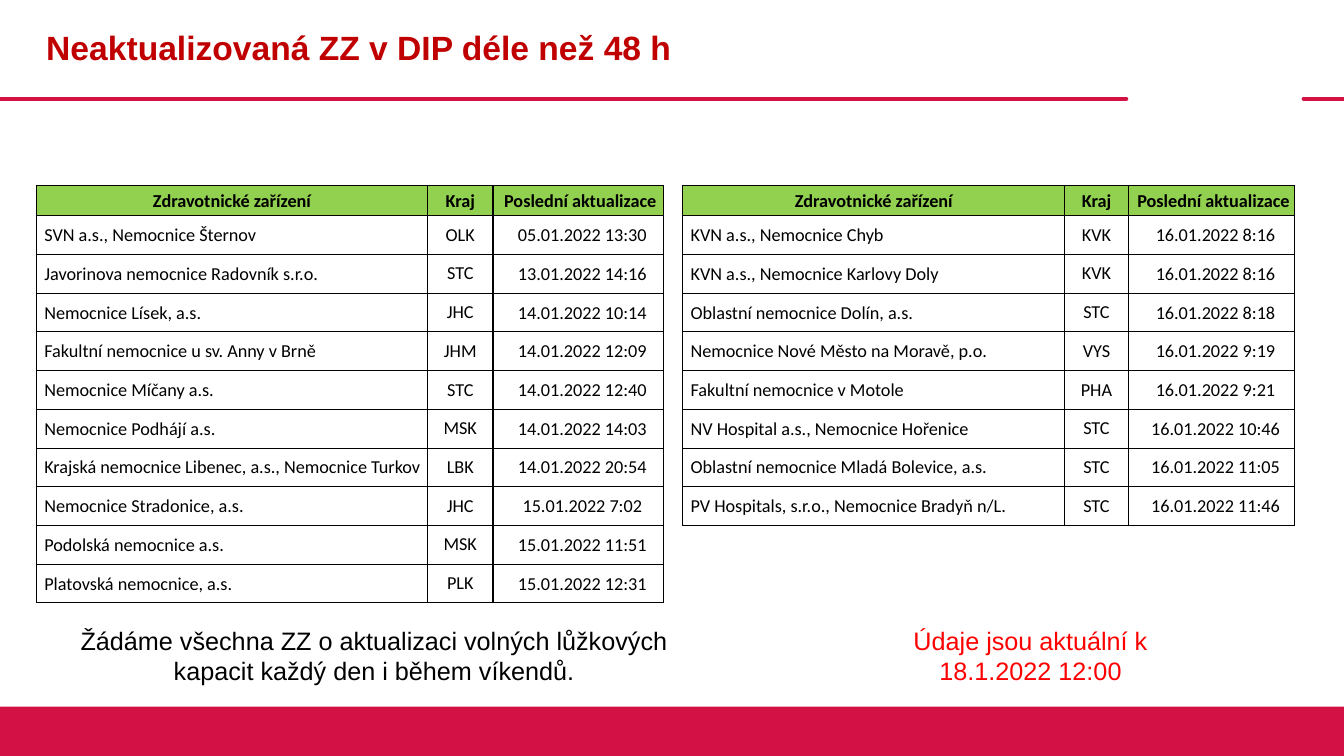
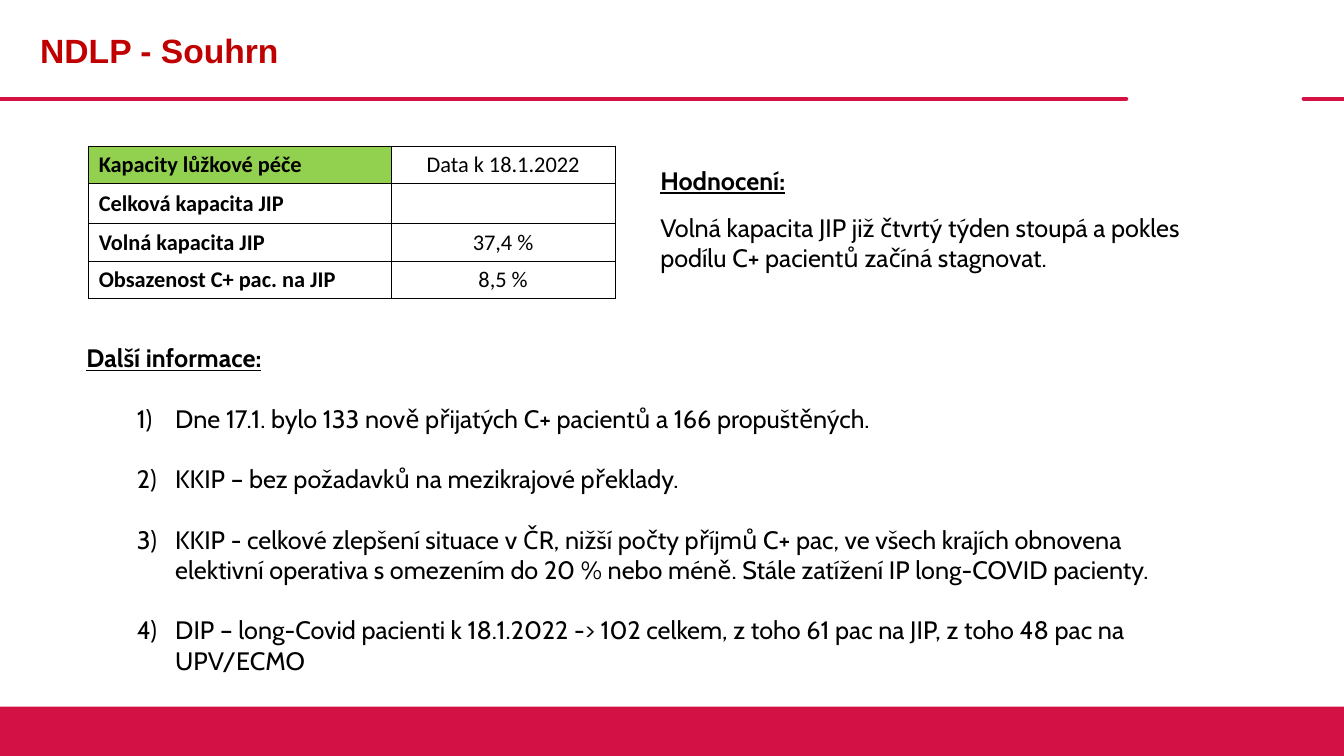
from lxml.etree import SubElement
from pptx import Presentation
from pptx.dml.color import RGBColor
from pptx.enum.shapes import MSO_CONNECTOR, MSO_SHAPE
from pptx.enum.text import MSO_ANCHOR, PP_ALIGN
from pptx.oxml.ns import qn
from pptx.util import Inches, Pt

CRIMSON = "D31145"
TITLE_RED = "C00000"
NOTE_RED = "FF0000"
GREEN = "92D050"
WHITE = "FFFFFF"
BLACK = "000000"
color = RGBColor.from_string


def write(frame, text, font="Arial", size=18, ink=BLACK, bold=False, underline=False,
          align=PP_ALIGN.LEFT, before=None, after=None, line=None, numbered=False):
    """Add one paragraph to a text frame, using its empty first one if there is one."""
    frame.word_wrap = True
    para = frame.paragraphs[0]
    if para.runs:
        para = frame.add_paragraph()
    if numbered:
        properties = para._p.get_or_add_pPr()
        properties.set("marL", str(Inches(0.88)))
        properties.set("indent", str(Inches(-0.38)))
        SubElement(properties, qn("a:buFont"), typeface="+mj-lt")
        SubElement(properties, qn("a:buAutoNum"), type="arabicParenR")
    para.alignment = align
    if before is not None:
        para.space_before = Pt(before)
    if after is not None:
        para.space_after = Pt(after)
    if line is not None:
        para.line_spacing = line
    span = para.add_run()
    span.text = text
    span.font.name = font
    span.font.size = Pt(size)
    span.font.bold = bold
    span.font.underline = underline
    span.font.color.rgb = color(ink)


def style_cell(cell, fill, borders, insets=(0.1, 0.05, 0.1, 0.05)):
    """Borders are point widths for left, right, top, bottom; insets are left, top, right, bottom."""
    properties = cell._tc.get_or_add_tcPr()
    for side, width in zip("LRTB", borders):
        edge = SubElement(properties, qn(f"a:ln{side}"), w=str(Pt(width)))
        paint = SubElement(edge, qn("a:solidFill"))
        SubElement(paint, qn("a:srgbClr"), val=BLACK)
    cell.fill.solid()
    cell.fill.fore_color.rgb = color(fill)
    cell.vertical_anchor = MSO_ANCHOR.MIDDLE
    cell.margin_left, cell.margin_top, cell.margin_right, cell.margin_bottom = map(Inches, insets)


deck = Presentation()
deck.slide_width = Inches(13.33)
deck.slide_height = Inches(7.5)

# Title, rule and bottom band of each page
titles = [
    ("Neaktualizovaná ZZ v DIP déle než 48 h", 0.36, 0),
    ("NDLP - Souhrn", 0.3, 0.03),
]
pages = []
for title, left, top in titles:
    page = deck.slides.add_slide(deck.slide_layouts[6])
    pages.append(page)
    for start, end in [(0, 11.17), (12.93, 13.33)]:
        rule = page.shapes.add_connector(
            MSO_CONNECTOR.STRAIGHT, Inches(start), Inches(0.98), Inches(end), Inches(0.98))
        rule.line.color.rgb = color(CRIMSON)
        rule.line.width = Pt(3)
        rule.line._ln.set("cap", "rnd")
        SubElement(rule._element.spPr, qn("a:effectLst"))
    band = page.shapes.add_shape(
        MSO_SHAPE.RECTANGLE, 0, Inches(7.01), Inches(13.33), Inches(0.49))
    band.shadow.inherit = False
    band.fill.solid()
    band.fill.fore_color.rgb = color(CRIMSON)
    band.line.fill.background()
    box = page.shapes.add_textbox(Inches(left), Inches(top), Inches(10.81), Inches(0.98))
    box.text_frame.vertical_anchor = MSO_ANCHOR.MIDDLE
    write(box.text_frame, title, size=24, ink=TITLE_RED, bold=True, line=0.9)

outdated_page, summary_page = pages

# Outdated facilities
notes = [
    ("Údaje jsou aktuální k 18.1.2022 12:00", 8.78, 2.88, NOTE_RED),
    ("Žádáme všechna ZZ o aktualizaci volných lůžkových kapacit každý den i během víkendů.",
     0.65, 6.12, BLACK),
]
for text, left, width, ink in notes:
    box = outdated_page.shapes.add_textbox(
        Inches(left), Inches(6.15), Inches(width), Inches(0.71))
    write(box.text_frame, text, ink=ink, align=PP_ALIGN.CENTER)

headings = ("Zdravotnické zařízení", "Kraj", "Poslední aktualizace")
older_updates = [
    ("SVN a.s., Nemocnice Šternov", "OLK", "05.01.2022 13:30"),
    ("Javorinova nemocnice Radovník s.r.o.", "STC", "13.01.2022 14:16"),
    ("Nemocnice Lísek, a.s.", "JHC", "14.01.2022 10:14"),
    ("Fakultní nemocnice u sv. Anny v Brně", "JHM", "14.01.2022 12:09"),
    ("Nemocnice Míčany a.s.", "STC", "14.01.2022 12:40"),
    ("Nemocnice Podhájí a.s.", "MSK", "14.01.2022 14:03"),
    ("Krajská nemocnice Libenec, a.s., Nemocnice Turkov", "LBK", "14.01.2022 20:54"),
    ("Nemocnice Stradonice, a.s.", "JHC", "15.01.2022 7:02"),
    ("Podolská nemocnice a.s.", "MSK", "15.01.2022 11:51"),
    ("Platovská nemocnice, a.s.", "PLK", "15.01.2022 12:31"),
]
newer_updates = [
    ("KVN a.s., Nemocnice Chyb", "KVK", "16.01.2022 8:16"),
    ("KVN a.s., Nemocnice Karlovy Doly", "KVK", "16.01.2022 8:16"),
    ("Oblastní nemocnice Dolín, a.s.", "STC", "16.01.2022 8:18"),
    ("Nemocnice Nové Město na Moravě, p.o.", "VYS", "16.01.2022 9:19"),
    ("Fakultní nemocnice v Motole", "PHA", "16.01.2022 9:21"),
    ("NV Hospital a.s., Nemocnice Hořenice", "STC", "16.01.2022 10:46"),
    ("Oblastní nemocnice Mladá Bolevice, a.s.", "STC", "16.01.2022 11:05"),
    ("PV Hospitals, s.r.o., Nemocnice Bradyň n/L.", "STC", "16.01.2022 11:46"),
]
header_height = 0.3
row_height = (4.14 - header_height) / len(older_updates)
header_insets = [(0.01, 0.01, 0.01, 0), (0.01, 0.01, 0.01, 0), (0.05, 0.01, 0.01, 0)]
body_insets = [(0.08, 0.01, 0.01, 0), (0.01, 0.08, 0.01, 0.08), (0.09, 0.01, 0.01, 0)]

for left, widths, updates in [
    (0.36, (3.88, 0.65, 1.69), older_updates),
    (6.77, (3.79, 0.63, 1.65), newer_updates),
]:
    rows = [headings, *updates]
    height = header_height + row_height * len(updates)
    table = outdated_page.shapes.add_table(
        len(rows), len(widths), Inches(left), Inches(1.84),
        Inches(sum(widths)), Inches(height)).table
    table.first_row = table.horz_banding = False
    for column, width in zip(table.columns, widths):
        column.width = Inches(width)
    for row_index, row in enumerate(rows):
        is_header = row_index == 0
        table.rows[row_index].height = Inches(header_height if is_header else row_height)
        borders = (1, 1, 1 if row_index < 2 else 0.5, 1 if is_header else 0.5)
        insets = header_insets if is_header else body_insets
        for column_index, text in enumerate(row):
            cell = table.cell(row_index, column_index)
            style_cell(cell, GREEN if is_header else WHITE, borders, insets[column_index])
            is_name = column_index == 0 and not is_header
            write(cell.text_frame, text, font="Calibri", size=13, bold=is_header,
                  align=PP_ALIGN.LEFT if is_name else PP_ALIGN.CENTER)

# Summary
capacities = [
    ("Kapacity lůžkové péče", "Data k 18.1.2022"),
    ("Celková kapacita JIP", ""),
    ("Volná kapacita JIP", "37,4 %"),
    ("Obsazenost C+ pac. na JIP", "8,5 %"),
]
table = summary_page.shapes.add_table(
    len(capacities), 2, Inches(0.88), Inches(1.45), Inches(5.22), Inches(1.48)).table
table.first_row = table.horz_banding = False
table.columns[0].width = Inches(3)
table.columns[1].width = Inches(2.22)
for row_index, row in enumerate(capacities):
    table.rows[row_index].height = Inches(0.37)
    for column_index, text in enumerate(row):
        cell = table.cell(row_index, column_index)
        is_label = column_index == 0
        style_cell(cell, GREEN if is_label and row_index == 0 else WHITE, [0.75] * 4)
        write(cell.text_frame, text, font="Calibri", size=16, bold=is_label,
              align=PP_ALIGN.LEFT if is_label else PP_ALIGN.CENTER)

information = summary_page.shapes.add_textbox(
    Inches(0.76), Inches(3.35), Inches(11.37), Inches(3.43)).text_frame
write(information, "Další informace:", font="Cabin", bold=True, underline=True)
for text in [
    "Dne 17.1. bylo 133 nově přijatých C+ pacientů a 166 propuštěných.",
    "KKIP – bez požadavků na mezikrajové překlady.",
    "KKIP - celkové zlepšení situace v ČR, nižší počty příjmů C+ pac, ve všech krajích "
    "obnovena elektivní operativa s omezením do 20 % nebo méně. "
    "Stále zatížení IP long-COVID pacienty.",
    "DIP – long-Covid pacienti k 18.1.2022 -> 102 celkem, z toho 61 pac na JIP, "
    "z toho 48 pac na UPV/ECMO",
]:
    write(information, text, font="Cabin", before=21.6, numbered=True)

assessment = summary_page.shapes.add_textbox(
    Inches(6.45), Inches(1.59), Inches(5.75), Inches(1.18)).text_frame
write(assessment, "Hodnocení:", font="Cabin", bold=True, underline=True, after=12)
write(assessment,
      "Volná kapacita JIP již čtvrtý týden stoupá a pokles podílu C+ pacientů začíná stagnovat.",
      font="Cabin")

deck.save("out.pptx")
